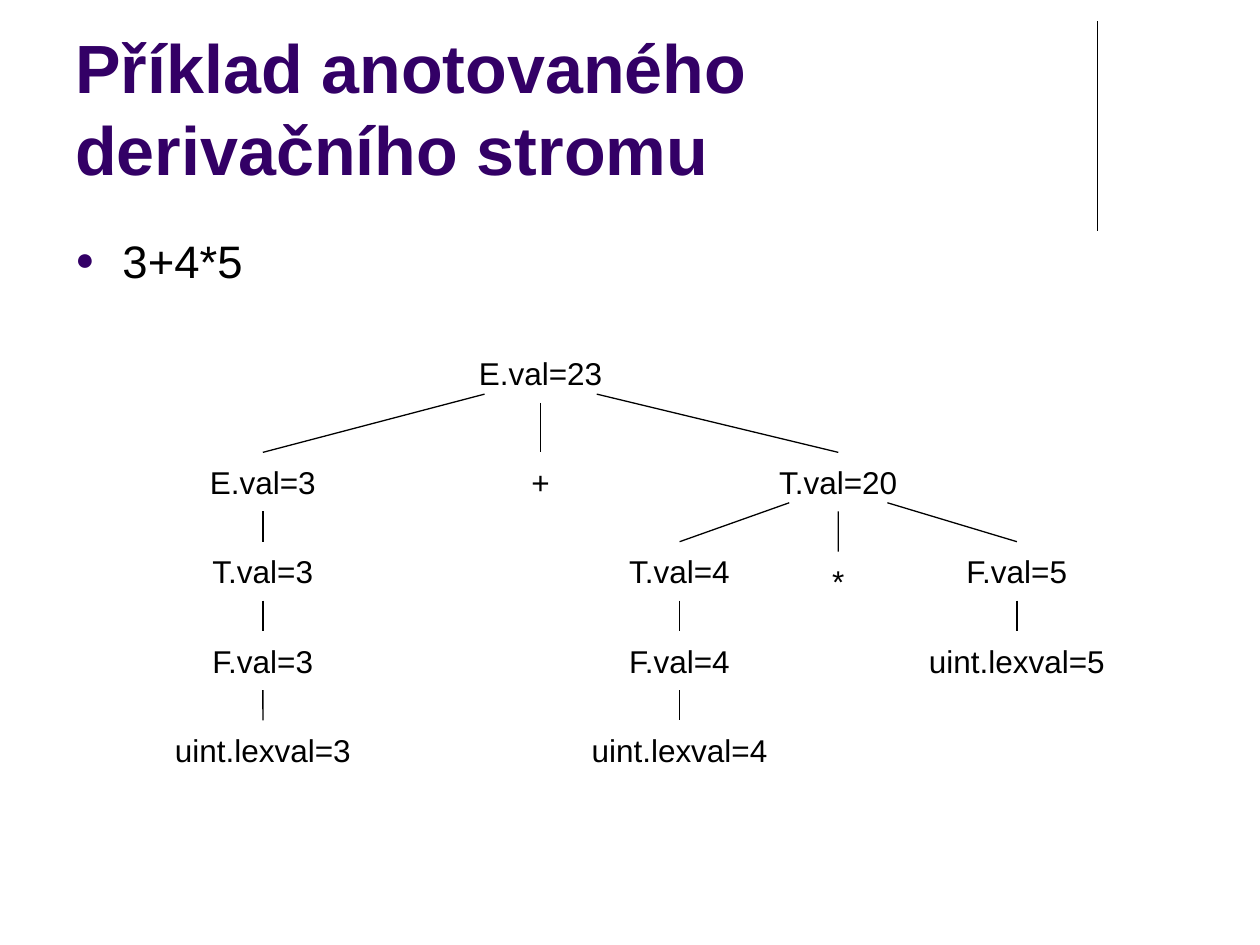
import math

from lxml import etree
from pptx import Presentation
from pptx import util as u
from pptx.dml.color import RGBColor
from pptx.enum import shapes, text
from pptx.oxml import ns

BLACK = "000000"
PURPLE = "330066"


def colour(value):
    return RGBColor.from_string(value)


class TreeSlide:
    font = "Arial"
    node_size = 18
    node_height = 1.19
    line_width = 0.75

    def __init__(self, presentation):
        self.slide = presentation.slides.add_slide(presentation.slide_layouts[6])

    def add_run(self, paragraph, words, size, ink=BLACK, bold=False):
        run = paragraph.add_run()
        run.text = words
        run.font.name = self.font
        run.font.size = u.Pt(size)
        run.font.bold = bold
        run.font.color.rgb = colour(ink)

    def text_box(self, left, top, width, height, anchor):
        box = self.slide.shapes.add_textbox(
            u.Cm(left), u.Cm(top), u.Cm(width), u.Cm(height))
        box.text_frame.word_wrap = True
        box.text_frame.vertical_anchor = anchor
        return box.text_frame.paragraphs[0]

    def title(self, words):
        paragraph = self.text_box(1.27, 0.33, 20.96, 3.61, text.MSO_ANCHOR.BOTTOM)
        self.add_run(paragraph, words, 39, PURPLE, True)

    def bullet(self, words):
        paragraph = self.text_box(1.27, 4.78, 22.86, 1.14, text.MSO_ANCHOR.TOP)
        paragraph.line_spacing = 0.8
        paragraph.space_before = u.Pt(6.5)
        self.add_run(paragraph, words, 26)
        properties = paragraph._p.get_or_add_pPr()
        indent = u.Cm(0.95)
        properties.set("marL", str(indent))
        properties.set("indent", str(-indent))
        bullet_colour = etree.SubElement(properties, ns.qn("a:buClr"))
        etree.SubElement(bullet_colour, ns.qn("a:srgbClr"), val=PURPLE)
        etree.SubElement(properties, ns.qn("a:buSzPct"), val="70000")
        etree.SubElement(properties, ns.qn("a:buFont"), typeface=self.font)
        etree.SubElement(properties, ns.qn("a:buChar"), char="●")

    def line(self, x1, y1, x2, y2):
        connector = self.slide.shapes.add_connector(
            shapes.MSO_CONNECTOR.STRAIGHT, u.Cm(x1), u.Cm(y1), u.Cm(x2), u.Cm(y2))
        connector.line.color.rgb = colour(BLACK)
        connector.line.width = u.Pt(self.line_width)
        etree.SubElement(connector._element.spPr, ns.qn("a:effectLst"))
        return connector

    def node(self, words, centre, top, width):
        shape = self.slide.shapes.add_shape(
            shapes.MSO_SHAPE.OVAL, u.Cm(centre - width / 2), u.Cm(top),
            u.Cm(width), u.Cm(self.node_height))
        shape.shadow.inherit = False
        shape.fill.background()
        shape.line.fill.background()
        frame = shape.text_frame
        frame.word_wrap = False
        frame.vertical_anchor = text.MSO_ANCHOR.MIDDLE
        paragraph = frame.paragraphs[0]
        paragraph.alignment = text.PP_ALIGN.CENTER
        self.add_run(paragraph, words, self.node_size)
        return shape

    def branch(self, parent, child, side):
        angle = math.radians(90 - 45 * side)
        x = parent.left.cm + parent.width.cm / 2 * (1 + math.cos(angle))
        y = parent.top.cm + parent.height.cm / 2 * (1 + math.sin(angle))
        connector = self.line(x, y, child.left.cm + child.width.cm / 2, child.top.cm)
        connector.end_connect(child, 0)

    def chain(self, names, centre, top, step):
        nodes = []
        for level, name in enumerate(names):
            width = 4 if name.startswith("uint") else 2.4
            nodes.append(self.node(name, centre, top + level * step, width))
        for parent, child in zip(nodes, nodes[1:]):
            self.branch(parent, child, 0)
        return nodes[0]


def main():
    presentation = Presentation()
    presentation.slide_width = u.Cm(25.4)
    presentation.slide_height = u.Cm(19.05)
    page = TreeSlide(presentation)

    page.line(22.12, 0.43, 22.12, 4.65)
    page.title("Příklad anotovaného derivačního stromu")
    page.bullet("3+4*5")

    step = 1.8
    second_level = 9.12
    third_level = second_level + step

    root = page.node("E.val=23", 10.9, 6.93, 3.2)
    summand = page.chain(
        ["E.val=3", "T.val=3", "F.val=3", "uint.lexval=3"], 5.3, second_level, step)
    plus = page.node("+", 10.9, second_level, 1.19)
    product = page.node("T.val=20", 16.9, second_level, 2.8)
    left_factor = page.chain(
        ["T.val=4", "F.val=4", "uint.lexval=4"], 13.7, third_level, step)
    times = page.node("*", 16.9, third_level + 0.2, 1.19)
    right_factor = page.chain(["F.val=5", "uint.lexval=5"], 20.5, third_level, step)

    families = [
        (root, [summand, plus, product]),
        (product, [left_factor, times, right_factor]),
    ]
    for parent, children in families:
        for side, child in zip((-1, 0, 1), children):
            page.branch(parent, child, side)

    presentation.save("out.pptx")


if __name__ == "__main__":
    main()
